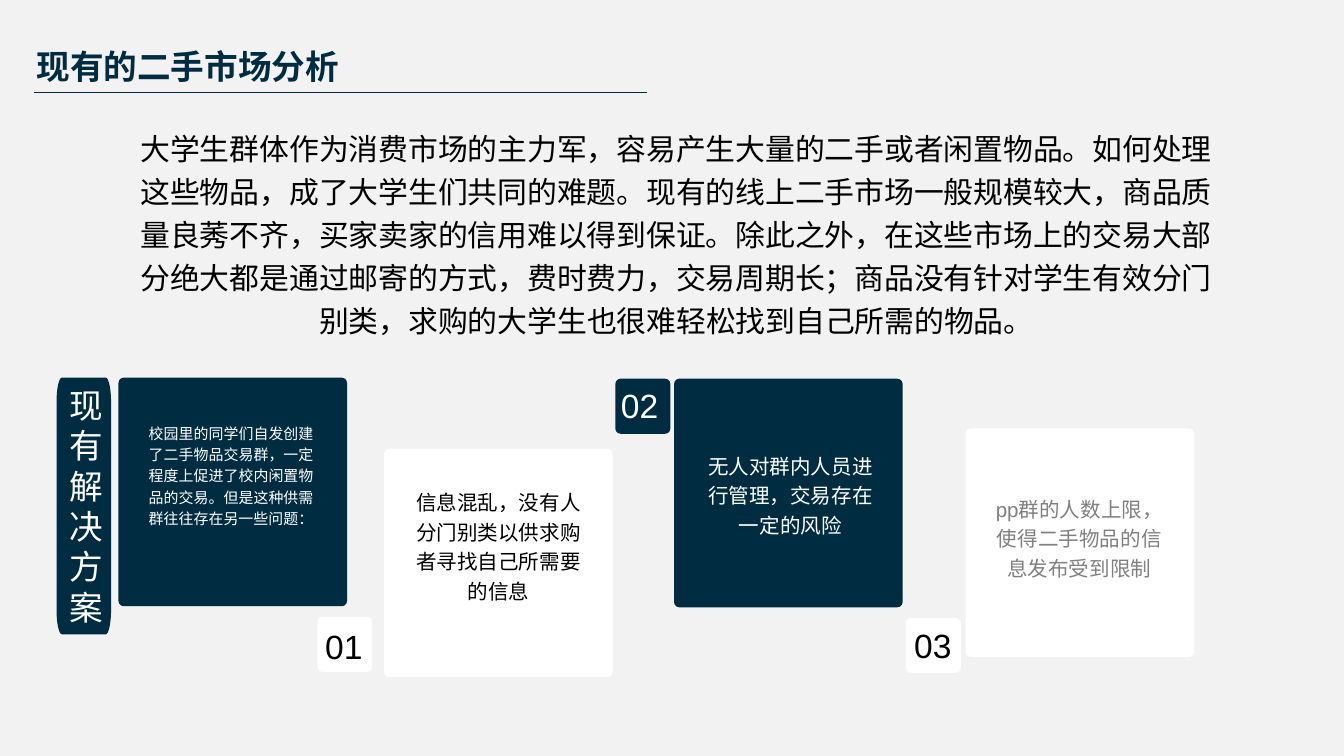
"""Build the slide analysing the existing second-hand market."""
import math
from lxml import etree
from pptx import Presentation
from pptx import util as u
from pptx.dml.color import RGBColor
from pptx.enum import shapes, text
from pptx.oxml import ns

COLOURS = {"navy": "002C42", "white": "FFFFFF", "black": "000000",
           "grey": "808080", "paper": "F2F2F2"}
LATIN, CHINESE = "Arial", "Noto Sans CJK SC"
CARD, BADGE, CORNER = 4.32, 1.04, 0.1
BODY_WIDTH, LABEL_WIDTH, LABEL_HEIGHT = 3.2, 1.22, 1.02

TITLE = "现有的二手市场分析"
INTRO = ("大学生群体作为消费市场的主力军，容易产生大量的二手或者闲置物品。如何处理这些物品，"
         "成了大学生们共同的难题。现有的线上二手市场一般规模较大，商品质量良莠不齐，"
         "买家卖家的信用难以得到保证。除此之外，在这些市场上的交易大部分绝大都是通过邮寄的方式，"
         "费时费力，交易周期长；商品没有针对学生有效分门别类，求购的大学生也很难轻松找到自己所需的物品。")
SIDE_LABEL = "现有解决方案"
CARDS = [
    {"at": (2.24, 7.14), "fill": "navy", "ink": "white", "size": 8,
     "body_at": (2.77, 7.95), "body_height": 2.01,
     "body": "校园里的同学们自发创建了二手物品交易群，一定程度上促进了校内闲置物品的交易。"
             "但是这种供需群往往存在另一些问题："},
    {"at": (7.26, 8.48), "fill": "white", "ink": "black", "size": 11,
     "body_at": (7.82, 9.17), "body_height": 2.21,
     "body": "信息混乱，没有人分门别类以供求购者寻找自己所需要的信息"},
    {"at": (12.74, 7.16), "fill": "navy", "ink": "white", "size": 11,
     "body_at": (13.34, 8.48), "body_height": 1.63,
     "body": "无人对群内人员进行管理，交易存在一定的风险"},
    {"at": (18.25, 8.1), "fill": "white", "ink": "grey", "size": 11,
     "body_at": (18.8, 9.3), "body_height": 1.63,
     "body": "pp群的人数上限，使得二手物品的信息发布受到限制"},
]
BADGES = [
    ("01", (6, 11.66), (5.89, 11.71), "white", "black"),
    ("02", (11.63, 7.16), (11.48, 7.16), "navy", "white"),
    ("03", (17.12, 11.68), (17.02, 11.68), "white", "black"),
]


def colour(name):
    return RGBColor.from_string(COLOURS[name])


def paint(shape, fill):
    shape.shadow.inherit = False
    shape.fill.solid()
    shape.fill.fore_color.rgb = colour(fill)
    shape.line.fill.background()


def write(frame, words, size, ink, align, latin=LATIN, bold=False, spacing=1.0):
    para = frame.paragraphs[0]
    para.alignment, para.line_spacing = align, spacing
    span = para.add_run()
    span.text = words
    font = span.font
    font.name, font.size, font.bold = latin, u.Pt(size), bold
    font.color.rgb = colour(ink)
    properties = font.fill._xPr
    etree.SubElement(properties, ns.qn("a:ea")).set("typeface", CHINESE)


def set_insets(frame, left, top, right, bottom):
    frame.margin_left, frame.margin_top = u.Cm(left), u.Cm(top)
    frame.margin_right, frame.margin_bottom = u.Cm(right), u.Cm(bottom)


def add_text(page, at, width, height, words, size, ink, spacing=1.0, wrap=True):
    box = page.shapes.add_textbox(*map(u.Cm, (*at, width, height)))
    frame = box.text_frame
    frame.word_wrap = wrap
    if wrap:
        set_insets(frame, 0, 0, 0, 0)
    write(frame, words, size, ink, text.PP_ALIGN.CENTER, spacing=spacing)


def add_square(page, at, side, fill):
    square = page.shapes.add_shape(shapes.MSO_SHAPE.ROUNDED_RECTANGLE,
                                   *map(u.Cm, (*at, side, side)))
    square.adjustments[0] = CORNER / side
    paint(square, fill)


def add_side_label(page, left, top, width, height, radius_x, radius_y):
    corners = [(left + width - radius_x, top + height - radius_y),
               (left + radius_x, top + height - radius_y),
               (left + radius_x, top + radius_y),
               (left + width - radius_x, top + radius_y)]
    points = []
    for quarter, (x, y) in enumerate(corners):
        for step in range(9):
            angle = math.radians(90 * quarter + 90 * step / 8)
            points.append((u.Cm(x + radius_x * math.cos(angle)),
                           u.Cm(y + radius_y * math.sin(angle))))
    builder = page.shapes.build_freeform(*points[0])
    builder.add_line_segments(points[1:], close=True)
    label = builder.convert_to_shape()
    paint(label, "navy")
    frame = label.text_frame
    frame.word_wrap = True
    frame.vertical_anchor = text.MSO_ANCHOR.MIDDLE
    write(frame, SIDE_LABEL, 18, "white", text.PP_ALIGN.LEFT)


def add_title(page):
    title = page.shapes.title
    title.left, title.top, title.width, title.height = map(u.Cm, (0.69, 0.74, 6.02, 1.02))
    frame = title.text_frame
    frame.word_wrap = False
    frame.auto_size = text.MSO_AUTO_SIZE.NONE
    frame.vertical_anchor = text.MSO_ANCHOR.TOP
    set_insets(frame, 0, 0.13, 0.25, 0.13)
    write(frame, TITLE, 18, "navy", text.PP_ALIGN.LEFT, latin=CHINESE, bold=True)
    rule = page.shapes.add_connector(shapes.MSO_CONNECTOR.STRAIGHT,
                                     *map(u.Cm, (0.64, 1.75, 12.22, 1.75)))
    rule.line.color.rgb = colour("navy")
    rule.line.width = u.Pt(0.5)
    etree.SubElement(rule._element.spPr, ns.qn("a:effectLst"))


def main():
    deck = Presentation()
    deck.slide_width, deck.slide_height = u.Cm(25.4), u.Cm(14.29)
    page = deck.slides.add_slide(deck.slide_layouts[5])
    page.background.fill.solid()
    page.background.fill.fore_color.rgb = colour("paper")
    add_title(page)
    add_text(page, (2.39, 2.34), 20.8, 4.01, INTRO, 16, "black", spacing=1.2)
    add_side_label(page, 1.07, 7.14, 1.03, 4.85, 0.1, 0.46)
    for card in CARDS:
        add_square(page, card["at"], CARD, card["fill"])
        add_text(page, card["body_at"], BODY_WIDTH, card["body_height"],
                 card["body"], card["size"], card["ink"], spacing=1.2)
    for number, at, label_at, fill, ink in BADGES:
        add_square(page, at, BADGE, fill)
        add_text(page, label_at, LABEL_WIDTH, LABEL_HEIGHT, number, 18, ink, wrap=False)
    deck.save("out.pptx")


if __name__ == "__main__":
    main()
